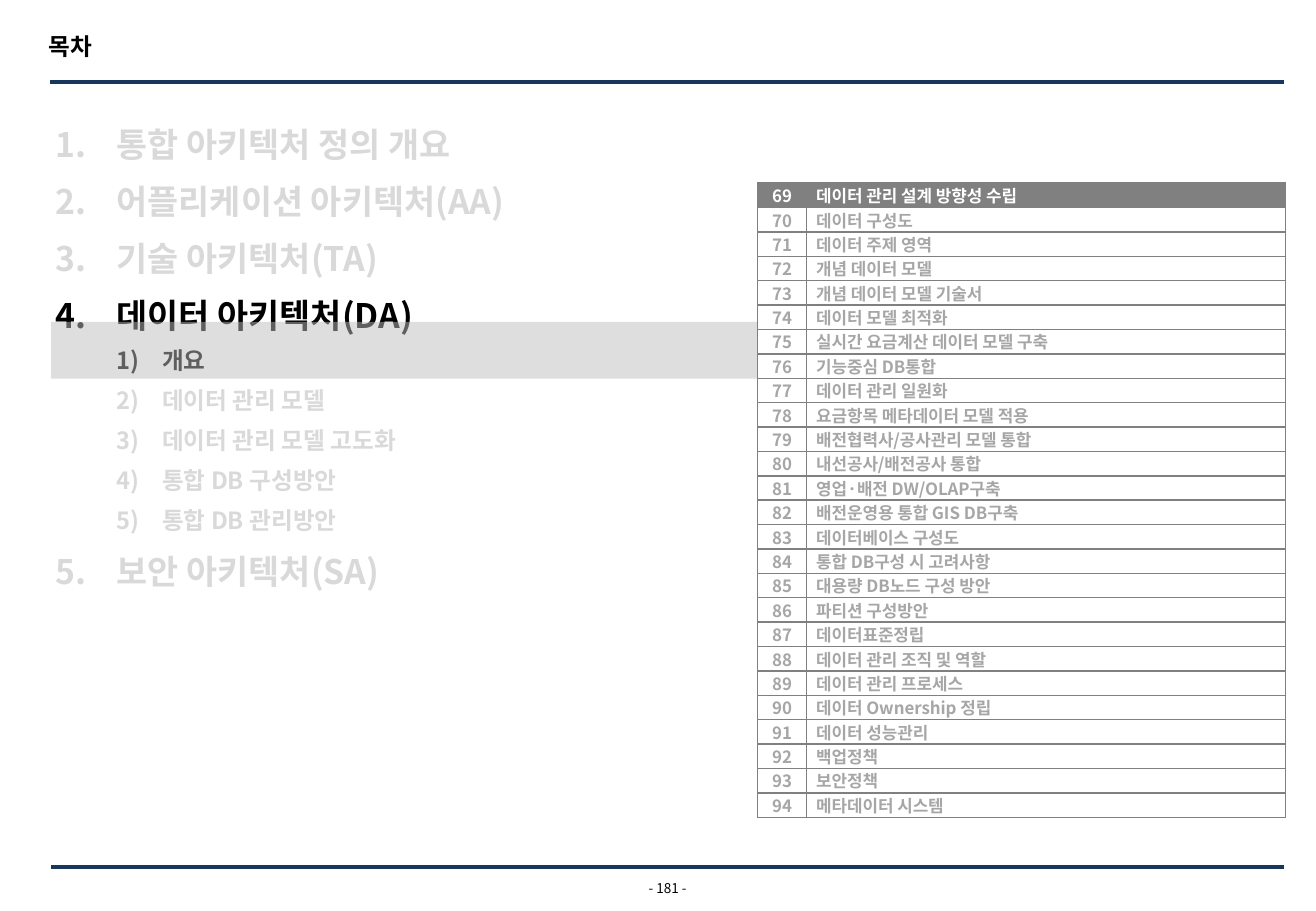
import lxml.etree
import pptx
import pptx.dml.color
import pptx.enum.shapes
import pptx.enum.text
import pptx.oxml.ns
import pptx.util

Cm = pptx.util.Cm
Pt = pptx.util.Pt
RGBColor = pptx.dml.color.RGBColor
ALIGN = pptx.enum.text.PP_ALIGN
MIDDLE = pptx.enum.text.MSO_ANCHOR.MIDDLE
qn = pptx.oxml.ns.qn

FONT = "Noto Sans CJK KR"
NAVY = RGBColor(0x17, 0x37, 0x5E)
BLACK = RGBColor(0x00, 0x00, 0x00)
WHITE = RGBColor(0xFF, 0xFF, 0xFF)
PALE = RGBColor(0xD9, 0xD9, 0xD9)
BAND = RGBColor(0xBF, 0xBF, 0xBF)
ASH = RGBColor(0xA6, 0xA6, 0xA6)
GRAY = RGBColor(0x80, 0x80, 0x80)

OUTLINE = [
    (0, "통합 아키텍처 정의 개요", PALE),
    (0, "어플리케이션 아키텍처(AA)", PALE),
    (0, "기술 아키텍처(TA)", PALE),
    (0, "데이터 아키텍처(DA)", BLACK),
    (1, "개요", BLACK),
    (1, "데이터 관리 모델", PALE),
    (1, "데이터 관리 모델 고도화", PALE),
    (1, "통합 DB 구성방안", PALE),
    (1, "통합 DB 관리방안", PALE),
    (0, "보안 아키텍처(SA)", PALE),
]
LEVELS = [
    {"size": 20, "margin": 1.27, "hanging": 1.27, "numbering": "arabicPeriod"},
    {"size": 14, "margin": 2.22, "hanging": 0.95, "numbering": "arabicParenR"},
]
FIRST_TOPIC = 69
TOPICS = [
    "데이터 관리 설계 방향성 수립",
    "데이터 구성도",
    "데이터 주제 영역",
    "개념 데이터 모델",
    "개념 데이터 모델 기술서",
    "데이터 모델 최적화",
    "실시간 요금계산 데이터 모델 구축",
    "기능중심 DB통합",
    "데이터 관리 일원화",
    "요금항목 메타데이터 모델 적용",
    "배전협력사/공사관리 모델 통합",
    "내선공사/배전공사 통합",
    "영업·배전 DW/OLAP구축",
    "배전운영용 통합 GIS DB구축",
    "데이터베이스 구성도",
    "통합 DB구성 시 고려사항",
    "대용량 DB노드 구성 방안",
    "파티션 구성방안",
    "데이터표준정립",
    "데이터 관리 조직 및 역할",
    "데이터 관리 프로세스",
    "데이터 Ownership 정립",
    "데이터 성능관리",
    "백업정책",
    "보안정책",
    "메타데이터 시스템",
]


def write(para, text, size=10, color=BLACK, bold=True, align=ALIGN.LEFT):
    para.alignment = align
    span = para.add_run()
    span.text = text
    span.font.size = Pt(size)
    span.font.bold = bold
    span.font.color.rgb = color
    span.font.name = FONT
    east_asian = lxml.etree.SubElement(span.font._element, qn("a:ea"))
    east_asian.set("typeface", FONT)


def set_margins(holder, left=0, top=0, right=0, bottom=0):
    holder.margin_left, holder.margin_top = Cm(left), Cm(top)
    holder.margin_right, holder.margin_bottom = Cm(right), Cm(bottom)


def add_text(page, box, text, margins, **style):
    frame = page.shapes.add_textbox(*map(Cm, box)).text_frame
    frame.word_wrap = True
    set_margins(frame, **margins)
    write(frame.paragraphs[0], text, **style)
    return frame


def add_rectangle(page, box, color):
    kind = pptx.enum.shapes.MSO_SHAPE.RECTANGLE
    shape = page.shapes.add_shape(kind, *map(Cm, box))
    shape.shadow.inherit = False
    shape.line.fill.background()
    shape.fill.solid()
    shape.fill.fore_color.rgb = color
    return shape


def add_rule(page, left, top, width):
    kind = pptx.enum.shapes.MSO_CONNECTOR.STRAIGHT
    rule = page.shapes.add_connector(kind, Cm(left), Cm(top), Cm(left + width), Cm(top))
    rule.line.color.rgb = NAVY
    rule.line.width = Pt(2.25)
    lxml.etree.SubElement(rule._element.spPr, qn("a:effectLst"))


def add_header(page, box):
    left, top, width, height = box
    add_text(page, (left - 0.28, top, width + 0.28, 0.91), "목차",
             {"left": 0.25, "top": 0.02}, size=14)
    add_rule(page, left, top + height, width)


def add_footer(page, box):
    left, top, width, height = box
    add_rule(page, left, top, width)
    frame = add_text(page, (left, top + height - 0.33, width, 0.33), "- 181 -", {},
                     size=8, bold=False, align=ALIGN.CENTER)
    frame.vertical_anchor = MIDDLE


def add_outline(page, box):
    left, top, width, height = box
    frame = add_rectangle(page, box, WHITE).text_frame
    frame.word_wrap = True
    frame.vertical_anchor = pptx.enum.text.MSO_ANCHOR.TOP
    set_margins(frame, left=0.1, top=0.2, right=0.1, bottom=0.1)
    for index, (level, text, color) in enumerate(OUTLINE):
        para = frame.add_paragraph() if index else frame.paragraphs[0]
        look = LEVELS[level]
        para.level = level
        props = para._p.get_or_add_pPr()
        props.set("marL", str(Cm(look["margin"])))
        props.set("indent", str(-Cm(look["hanging"])))
        number = lxml.etree.SubElement(props, qn("a:buAutoNum"))
        number.set("type", look["numbering"])
        para.line_spacing = 1.24
        para.space_before = Pt(look["size"] * 0.2 if index else 0)
        write(para, text, size=look["size"], color=color)
    band = add_rectangle(page, (left, top + 4.55, width, 1.19), BAND)
    tint = band.fill._xPr.find(".//" + qn("a:srgbClr"))
    lxml.etree.SubElement(tint, qn("a:alpha")).set("val", "50000")


def add_borders(cell):
    props = cell._tc.get_or_add_tcPr()
    for side in ("lnL", "lnR", "lnT", "lnB"):
        border = lxml.etree.SubElement(props, qn("a:" + side))
        border.set("w", str(Pt(1)))
        fill = lxml.etree.SubElement(border, qn("a:solidFill"))
        lxml.etree.SubElement(fill, qn("a:srgbClr")).set("val", str(GRAY))


def add_topics(page, box):
    table = page.shapes.add_table(len(TOPICS), 2, *map(Cm, box)).table
    table.first_row = table.horz_banding = False
    table.columns[0].width = Cm(1.02)
    table.columns[1].width = Cm(box[2] - 1.02)
    for index, topic in enumerate(TOPICS):
        table.rows[index].height = Cm(box[3] / len(TOPICS))
        color, back = (ASH, WHITE) if index else (WHITE, GRAY)
        entries = [(str(FIRST_TOPIC + index), ALIGN.CENTER, 0), (topic, ALIGN.LEFT, 0.2)]
        for column, (text, align, indent) in enumerate(entries):
            cell = table.cell(index, column)
            add_borders(cell)
            cell.fill.solid()
            cell.fill.fore_color.rgb = back
            cell.vertical_anchor = MIDDLE
            set_margins(cell, left=indent)
            write(cell.text_frame.paragraphs[0], text, color=color, align=align)


def main():
    deck = pptx.Presentation()
    deck.slide_width, deck.slide_height = Cm(27.51), Cm(19.05)
    page = deck.slides.add_slide(deck.slide_layouts[6])
    add_header(page, (1.05, 0.64, 25.8, 1.08))
    add_footer(page, (1.07, 18.13, 25.78, 0.61))
    add_outline(page, (1.07, 2.18, 14.8, 13.18))
    add_topics(page, (15.84, 3.83, 11.03, 13.26))
    deck.save("out.pptx")


if __name__ == "__main__":
    main()
